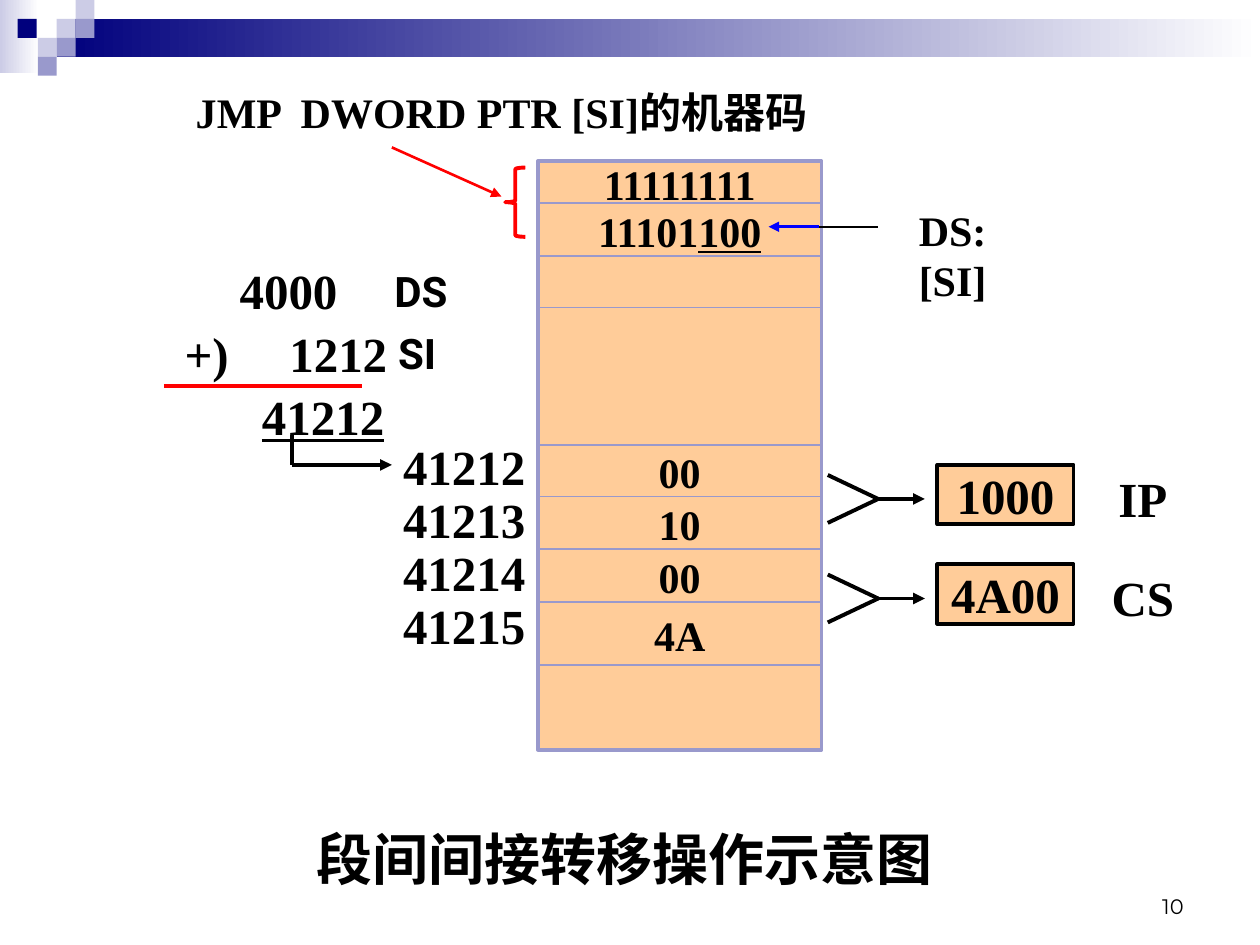
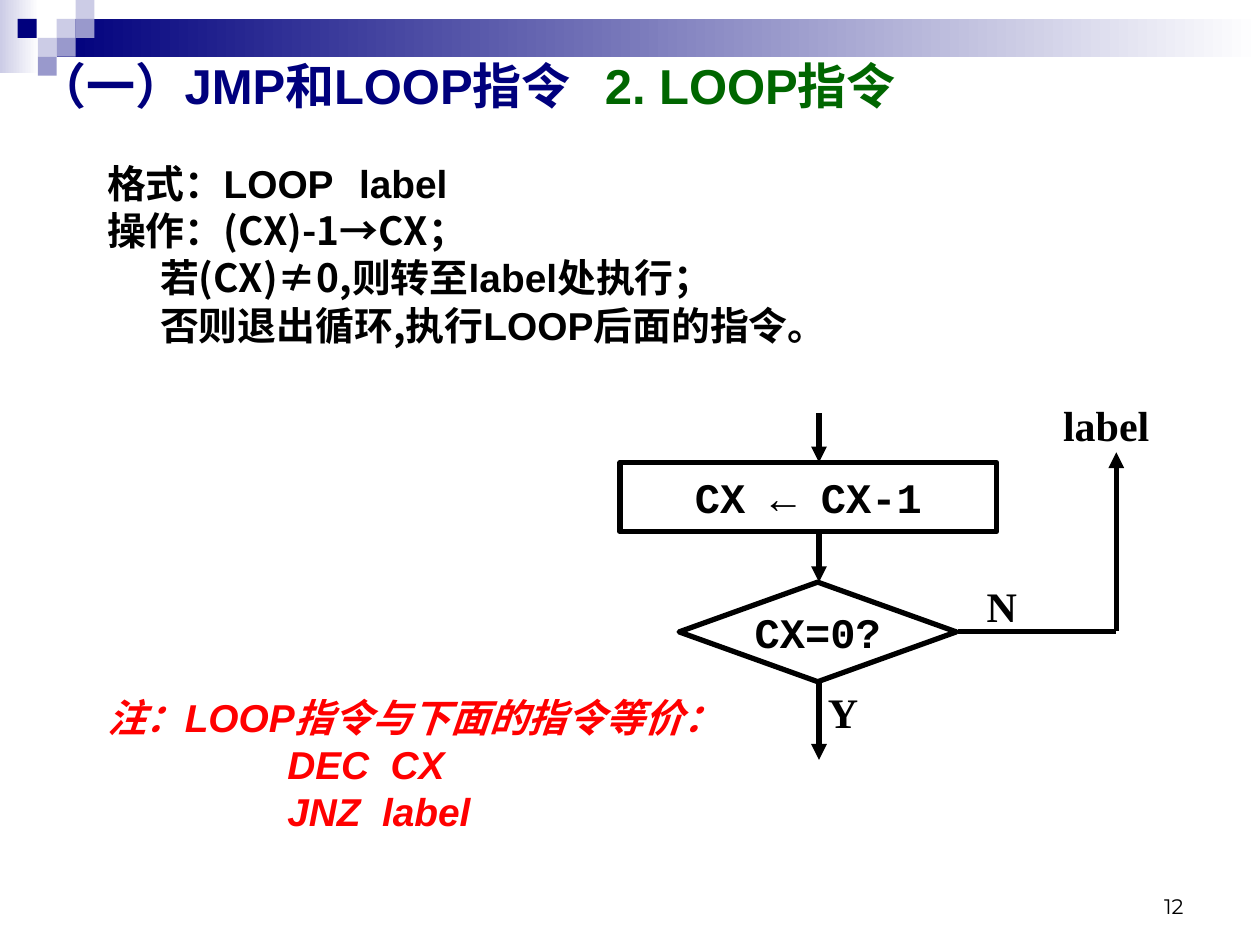
from itertools import pairwise

from lxml.etree import SubElement
from pptx import Presentation
from pptx.dml.color import RGBColor
from pptx.enum.shapes import MSO_CONNECTOR, MSO_SHAPE
from pptx.enum.text import MSO_ANCHOR, MSO_AUTO_SIZE, PP_ALIGN
from pptx.oxml.ns import qn
from pptx.util import Inches, Pt

BLACK = RGBColor(0x00, 0x00, 0x00)
WHITE = RGBColor(0xFF, 0xFF, 0xFF)
NAVY = RGBColor(0x00, 0x00, 0x7D)
LILAC = RGBColor(0x99, 0x99, 0xCC)
PALE = RGBColor(0xCC, 0xCC, 0xE6)
PEACH = RGBColor(0xFF, 0xCC, 0x99)
RED = RGBColor(0xFF, 0x00, 0x00)
BLUE = RGBColor(0x00, 0x00, 0xFF)
GREEN = RGBColor(0x00, 0x66, 0x00)

SERIF, SANS, MONO = "Times New Roman", "Arial", "Courier New"
CJK, NUMBER, REGISTER = "Noto Sans CJK SC", "Montserrat", "Roboto"

COLS, ROWS = 100, 75


class Deck:
    """Holds the style and the current slide; lengths are grid columns and rows."""

    def __init__(self):
        self.prs = Presentation()
        self.prs.slide_width, self.prs.slide_height = Inches(10), Inches(7.5)
        self.col = self.prs.slide_width / COLS
        self.row = self.prs.slide_height / ROWS
        self.s = None

    def grid(self, x, y):
        return round(x * self.col), round(y * self.row)

    def new_slide(self, layout, number):
        self.s = self.prs.slides.add_slide(self.prs.slide_layouts[layout])
        self.band()
        for ph in self.s.placeholders:  # keep text in front of the band
            self.s.shapes._spTree.append(ph._element)
        self.label(83.3, 71.9, 21.3, number, 12, NUMBER, bold=False,
                   align=PP_ALIGN.RIGHT)

    def band(self):
        self.box(0, 0, 3.1, 5.8, fill=(PALE, WHITE))
        self.box(4.5, 1.5, 95.5, 3, fill=(NAVY, WHITE))
        for x, y, color in ((4.5, 1.5, PALE), (6, 0, PALE), (6, 1.5, LILAC),
                            (3, 3, PALE), (1.4, 1.5, NAVY), (4.5, 3, LILAC),
                            (3, 4.5, LILAC)):
            self.box(x, y, 1.5, 1.5, fill=color)

    def box(self, x, y, w, h, kind=MSO_SHAPE.RECTANGLE, fill=None, line=None,
            width=2.25):
        """Draw a preset shape; a pair of colours as fill makes a gradient."""
        sp = self.s.shapes.add_shape(kind, *self.grid(x, y), *self.grid(w, h))
        sp.shadow.inherit = False
        if fill is None:
            sp.fill.background()
        elif isinstance(fill[0], RGBColor):
            sp.fill.gradient()
            sp.fill.gradient_angle = 0
            for stop, color in zip(sp.fill.gradient_stops, fill):
                stop.color.rgb = color
        else:
            sp.fill.solid()
            sp.fill.fore_color.rgb = fill
        if line is None:
            sp.line.fill.background()
        else:
            sp.line.color.rgb = line
            sp.line.width = Pt(width)
        return sp

    def line(self, start, end, color=BLACK, width=2.25, arrow=False):
        c = self.s.shapes.add_connector(MSO_CONNECTOR.STRAIGHT,
                                        *self.grid(*start), *self.grid(*end))
        c.line.color.rgb = color
        c.line.width = Pt(width)
        if arrow:
            SubElement(c.line._get_or_add_ln(), qn("a:tailEnd"), type="triangle")
        SubElement(c._element.spPr, qn("a:effectLst"))

    def style(self, r, size, font=SERIF, color=BLACK, bold=True, italic=False,
              underline=False):
        r.font.size, r.font.name = Pt(size), font
        r.font.color.rgb = color
        r.font.bold, r.font.italic, r.font.underline = bold, italic, underline
        ea = SubElement(r._r.get_or_add_rPr(), qn("a:ea"))
        ea.set("typeface", CJK)

    def fill_text(self, sp, text, size, font=SERIF, bold=True,
                  align=PP_ALIGN.CENTER):
        tf = sp.text_frame
        tf.word_wrap = True
        tf.auto_size = MSO_AUTO_SIZE.NONE
        tf.vertical_anchor = MSO_ANCHOR.MIDDLE
        tf.margin_left = tf.margin_right = tf.margin_top = tf.margin_bottom = 0
        tf.text = text
        for p in tf.paragraphs:
            p.alignment = align
            for r in p.runs:
                self.style(r, size, font, bold=bold)
        return tf

    def label(self, cx, cy, w, text, size=24, font=SERIF, lines=1, **kw):
        """Place a text box by its centre."""
        h = size * lines / 6
        sp = self.s.shapes.add_textbox(*self.grid(cx - w / 2, cy - h / 2),
                                       *self.grid(w, h))
        return self.fill_text(sp, text, size, font, **kw)

    def placeholder(self, ph, x, y, w, h):
        ph.left, ph.top = self.grid(x, y)
        ph.width, ph.height = self.grid(w, h)
        ph.text_frame.auto_size = MSO_AUTO_SIZE.NONE
        return ph.text_frame

    def paragraph(self, p, runs, size, indent=0, tab=None):
        """Fill a left-aligned paragraph without bullet from (text, style) runs."""
        pPr = p._p.get_or_add_pPr()
        pPr.set("marL", str(round(indent * self.col)))
        pPr.set("indent", "0")
        SubElement(pPr, qn("a:buNone"))
        if tab:
            tabs = SubElement(pPr, qn("a:tabLst"))
            SubElement(tabs, qn("a:tab"), pos=str(round(tab * self.col)), algn="l")
        p.alignment = PP_ALIGN.LEFT
        for text, look in runs:
            r = p.add_run()
            r.text = text
            self.style(r, size, **look)


def jump_slide(d):
    d.new_slide(5, "10")
    tf = d.placeholder(d.s.shapes.title, 24, 65.4, 51.2, 5.4)
    d.fill_text(d.s.shapes.title, "段间间接转移操作示意图", 32)

    # Address sum
    for cx, cy, w, text in ((22.9, 23, 8.4, "4000"), (26.85, 28, 11.7, "1212"),
                            (16.4, 28, 5.8, "+)")):
        d.label(cx, cy, w, text, 28)
    total = d.label(25.65, 33, 11, "41212", 28)
    total.paragraphs[0].runs[0].font.underline = True
    d.label(33.4, 23.1, 4.8, "DS", font=REGISTER)
    d.label(33.1, 28, 3.9, "SI", font=REGISTER)
    d.line((13, 30.6), (28.7, 30.6), RED)
    d.line((23.2, 34.5), (23.2, 36.9))
    d.line((23.2, 36.9), (31.1, 36.9), arrow=True)

    # Memory
    left, width = 42.7, 22.5
    edges = (12.8, 16.1, 20.3, 24.4, 35.3, 39.4, 43.6, 47.8, 52.8, 59.5)
    cells = ("11111111", "11101", "", "", "00", "10", "00", "4A", "")
    d.box(left, edges[0], width, edges[-1] - edges[0], fill=PEACH, line=LILAC)
    for y in edges[1:-1]:
        d.line((left, y), (left + width, y), LILAC, 1)
    for (top, bottom), text in zip(pairwise(edges), cells):
        if text:
            tf = d.label(left + width / 2, (top + bottom) / 2 + 0.1, 17.3, text)
        if text == "11101":
            r = tf.paragraphs[0].add_run()
            r.text = "100"
            d.style(r, 24, underline=True)
    addresses = "\n".join(str(41212 + i) for i in range(4))
    tf = d.label(36.4, 43.5, 10.6, addresses, 28, lines=3.6, align=PP_ALIGN.RIGHT)
    for p in tf.paragraphs:
        p.line_spacing = Pt(30.25)

    # Instruction and operand pointers
    d.label(39.8, 8.9, 52, "JMP  DWORD PTR [SI]的机器码")
    d.line((31.1, 11.7), (39.8, 15.6), RED, 1.5, arrow=True)
    d.box(40.1, 13.3, 1.6, 5.5, MSO_SHAPE.LEFT_BRACE, line=RED)
    d.line((65, 18), (61, 18), BLUE, 1.5, arrow=True)
    d.line((65, 18), (69.7, 18), width=1)
    d.label(75.6, 20.2, 10.2, "DS:[SI]", lines=2)

    # Target registers
    for cy, value, name in ((39.5, "1000", "IP"), (47.4, "4A00", "CS")):
        sp = d.box(74.4, cy - 2.6, 10.8, 4.7, fill=PEACH, line=BLACK)
        d.fill_text(sp, value, 28)
        d.label(90.7, cy, 5.8, name, 28)
        for dy in (-1.9, 1.9):
            d.line((65.7, cy + 0.1 + dy), (69.7, cy + 0.1))
        d.line((69.5, cy + 0.1), (73.4, cy + 0.1), arrow=True)


def loop_slide(d):
    d.new_slide(1, "12")
    tf = d.placeholder(d.s.shapes.title, 2, 3.6, 96.1, 6.3)
    tf.vertical_anchor = MSO_ANCHOR.MIDDLE
    d.paragraph(tf.paragraphs[0],
                [("（一）JMP和LOOP指令\t", dict(font=SANS, color=NAVY)),
                 ("2. LOOP指令", dict(font=SANS, color=GREEN))], 28, tab=53.1)

    latin, han = dict(font=SANS), dict(font=CJK)
    note = dict(font=SANS, color=RED, italic=True)
    body = (
        (0, [("格式：", han), ("LOOP\tlabel", latin)]),
        (0, [("操作：(CX)-1→CX；", han)]),
        (4.2, [("若(CX)≠0,则转至", han), ("label", latin), ("处执行；", han)]),
        (4.2, [("否则退出循环,执行", han), ("LOOP", latin), ("后面的指令。", han)]),
        (0, [("注：LOOP指令与下面的指令等价：", note)]),
        (14.3, [("DEC  CX", note)]),
        (14.3, [("JNZ  label", note)]),
    )
    tf = d.placeholder(d.s.placeholders[1], 7.5, 12.6, 89.8, 55.2)
    tf.margin_top = 0
    for i, (indent, runs) in enumerate(body):
        p = tf.add_paragraph() if i else tf.paragraphs[0]
        d.paragraph(p, runs, 22.2, indent, tab=None if i else 20.9)
        p.line_spacing = Pt(27)
        p.space_before = Pt(197 if runs[0][1] is note and indent == 0 else 0)

    # Flowchart
    axis = 65
    step = d.box(49.2, 36.7, 29.9, 5.5, MSO_SHAPE.FLOWCHART_PROCESS,
                 line=BLACK, width=3)
    test = d.box(53.9, 46.2, 22, 7.9, MSO_SHAPE.FLOWCHART_DECISION,
                 line=BLACK, width=3)
    for sp, text in ((step, "CX ← CX-1"), (test, "CX=0?")):
        d.fill_text(sp, text, 24, MONO).word_wrap = False
    for top, bottom in ((32.8, 36.7), (42.2, 46.2), (54, 60.3)):
        d.line((axis, top), (axis, bottom), width=3, arrow=True)
    d.line((76, 50.1), (88.6, 50.1), width=3)
    d.line((88.6, 50.1), (88.6, 35.9), width=3, arrow=True)
    for cx, cy, w, text in ((79.5, 48.1, 5.5, "N"), (87.8, 33.7, 15.7, "label"),
                            (66.9, 56.5, 5.5, "Y")):
        d.label(cx, cy, w, text)


def main():
    d = Deck()
    jump_slide(d)
    loop_slide(d)
    d.prs.save("out.pptx")


if __name__ == "__main__":
    main()
